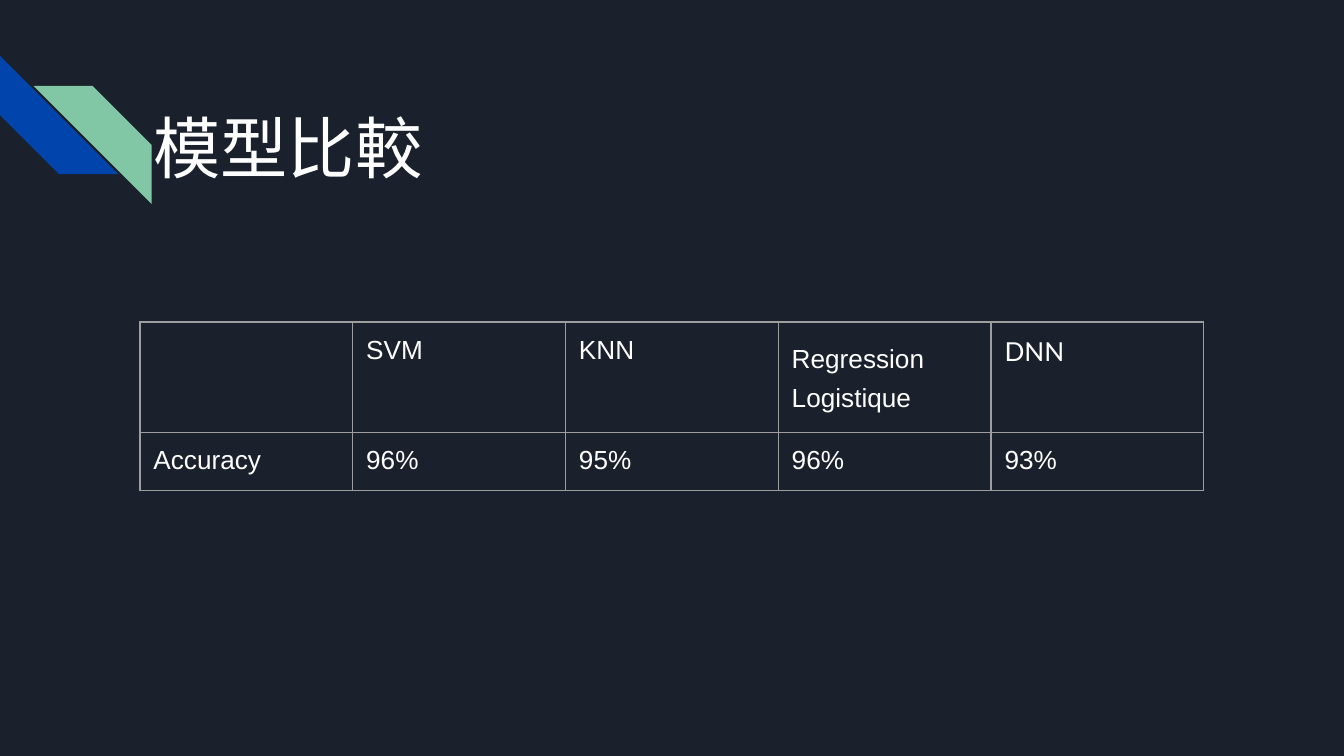
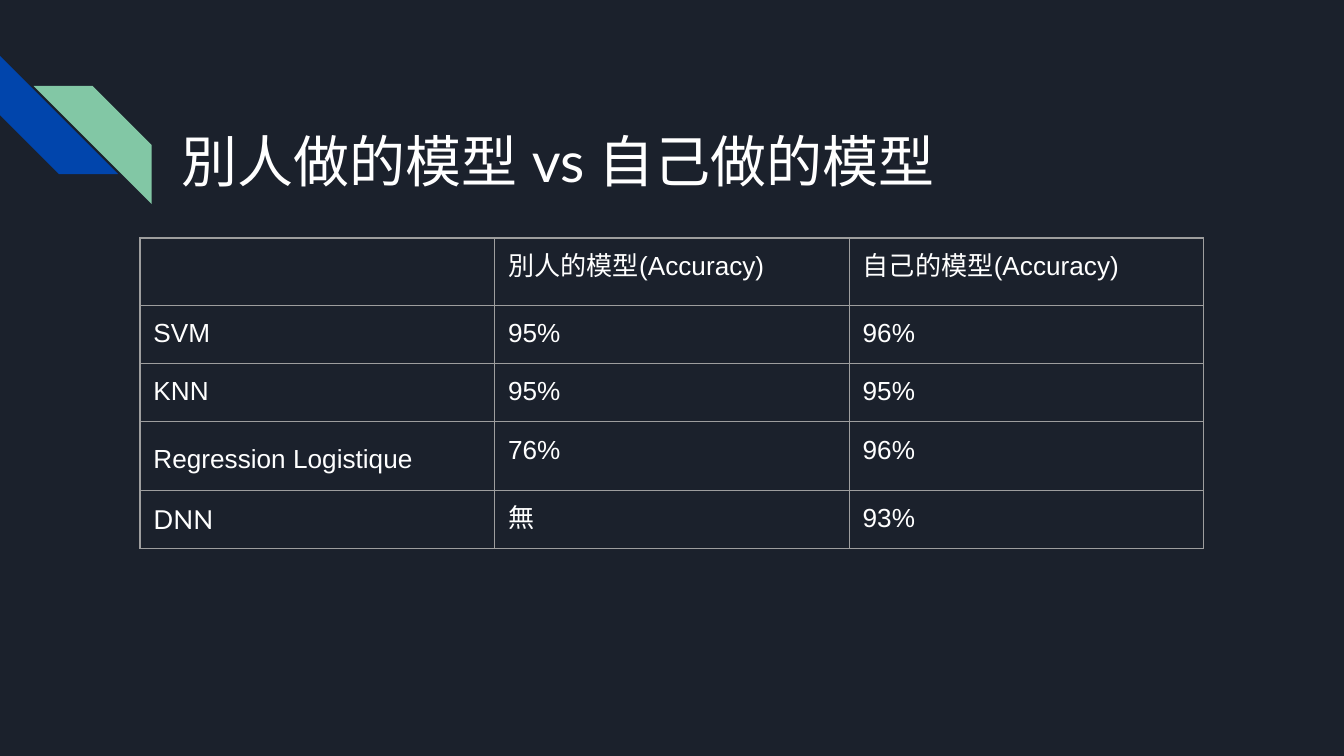
from lxml.etree import SubElement
from pptx import Presentation
from pptx.dml.color import RGBColor
from pptx.enum.shapes import MSO_SHAPE as Preset
from pptx.enum.text import MSO_ANCHOR as Anchor, MSO_AUTO_SIZE as AutoSize, PP_ALIGN as Align
from pptx.oxml.ns import qn
from pptx.util import Inches, Pt

# Colours and fonts
NAVY = RGBColor(0x1B, 0x21, 0x2C)
BLUE = RGBColor(0x01, 0x45, 0xAC)
GREEN = RGBColor(0x82, 0xC7, 0xA5)
GREY = RGBColor(0x9E, 0x9E, 0x9E)
WHITE = RGBColor(0xFF, 0xFF, 0xFF)
HEADING_FONT, BODY_FONT = "Lato", "Arial"

# Page grid
WIDTH, HEIGHT = Inches(10), Inches(5.625)
COLUMNS, ROWS = 48, 27
MARGIN = Inches(0.1)
TITLE_ONLY = 5

# Row and column labels that depart from the plain cell format
LABEL_FORMATS = {
    "Regression Logistique": {"spacing": 1.33},
    "DNN": {"font": HEADING_FONT},
}


def write(frame, text, size=14, font=BODY_FONT, color=WHITE, spacing=None):
    """Put one formatted, left-aligned paragraph into a text frame."""
    para = frame.paragraphs[0]
    para.alignment = Align.LEFT
    if spacing:
        para.line_spacing = spacing
    span = para.add_run()
    span.text = text
    span.font.size = Pt(size)
    span.font.name = font
    span.font.color.rgb = color
    # East Asian glyphs follow the same font
    SubElement(span.font._element, qn("a:ea"), typeface=font)


class Deck:
    def __init__(self):
        self.deck = Presentation()
        self.deck.slide_width, self.deck.slide_height = WIDTH, HEIGHT
        fill = self.deck.slide_master.background.fill
        fill.solid()
        fill.fore_color.rgb = NAVY
        self.page = None

    def grid(self, left, top, width, height):
        """Turn grid columns and rows into lengths."""
        column, row = WIDTH / COLUMNS, HEIGHT / ROWS
        return int(left * column), int(top * row), int(width * column), int(height * row)

    def add_page(self, title, area, size):
        self.page = self.deck.slides.add_slide(self.deck.slide_layouts[TITLE_ONLY])
        self.add_stripes()
        self.add_title(title, area, size)

    def add_stripes(self):
        """Draw the corner motif behind everything else."""
        group = self.page.shapes.add_group_shape()
        for left, top, color, turn, flip in ((0, 2, BLUE, 270, False),
                                             (1.2, 3.07, GREEN, 0, True)):
            stripe = group.shapes.add_shape(Preset.DIAGONAL_STRIPE,
                                            *self.grid(left, top, 4.22, 4.22))
            stripe.adjustments[0] = 0.5
            stripe.rotation = turn
            stripe.shadow.inherit = False
            stripe.fill.solid()
            stripe.fill.fore_color.rgb = color
            stripe.line.fill.background()
            if flip:
                stripe.element.spPr.find(qn("a:xfrm")).set("flipH", "1")
        group.element.getparent().insert(2, group.element)

    def add_title(self, text, area, size):
        box = self.page.shapes.title
        box.left, box.top, box.width, box.height = self.grid(*area)
        frame = box.text_frame
        frame.margin_left = frame.margin_right = MARGIN
        frame.margin_top = frame.margin_bottom = MARGIN
        frame.vertical_anchor = Anchor.TOP
        frame.word_wrap = True
        frame.auto_size = AutoSize.SHAPE_TO_FIT_TEXT
        write(frame, text, size=size, font=HEADING_FONT)

    def add_table(self, top, lines):
        area = self.grid(5, top, 38, 2 * len(lines))
        table = self.page.shapes.add_table(len(lines), len(lines[0]), *area).table
        table.first_row = table.horz_banding = False
        for row, line in enumerate(lines):
            for column, text in enumerate(line):
                self.fill_cell(table.cell(row, column), text)

    def fill_cell(self, cell, text):
        cell.margin_left = cell.margin_right = MARGIN
        cell.margin_top = cell.margin_bottom = MARGIN
        cell.fill.background()
        if text:
            write(cell.text_frame, text, **LABEL_FORMATS.get(text, {}))
        # Borders come before the fill in the cell properties
        properties = cell._tc.get_or_add_tcPr()
        for position, side in enumerate("LRTB"):
            border = SubElement(properties, qn(f"a:ln{side}"), w=str(Pt(0.75)))
            paint = SubElement(border, qn("a:solidFill"))
            SubElement(paint, qn("a:srgbClr"), val=str(GREY))
            properties.insert(position, border)

    def save(self):
        self.deck.save("out.pptx")


def main():
    deck = Deck()

    # Model comparison
    deck.add_page("模型比較", (5, 3.3, 31.8, 7.1), 36)
    deck.add_table(11.5, [
        ("", "SVM", "KNN", "Regression Logistique", "DNN"),
        ("Accuracy", "96%", "95%", "96%", "93%"),
    ])

    # Other people's models against our own
    deck.add_page("別人做的模型 vs 自己做的模型", (6, 4.03, 35.5, 3.4), 30)
    deck.add_table(8.5, [
        ("", "別人的模型(Accuracy)", "自己的模型(Accuracy)"),
        ("SVM", "95%", "96%"),
        ("KNN", "95%", "95%"),
        ("Regression Logistique", "76%", "96%"),
        ("DNN", "無", "93%"),
    ])

    deck.save()


if __name__ == "__main__":
    main()
